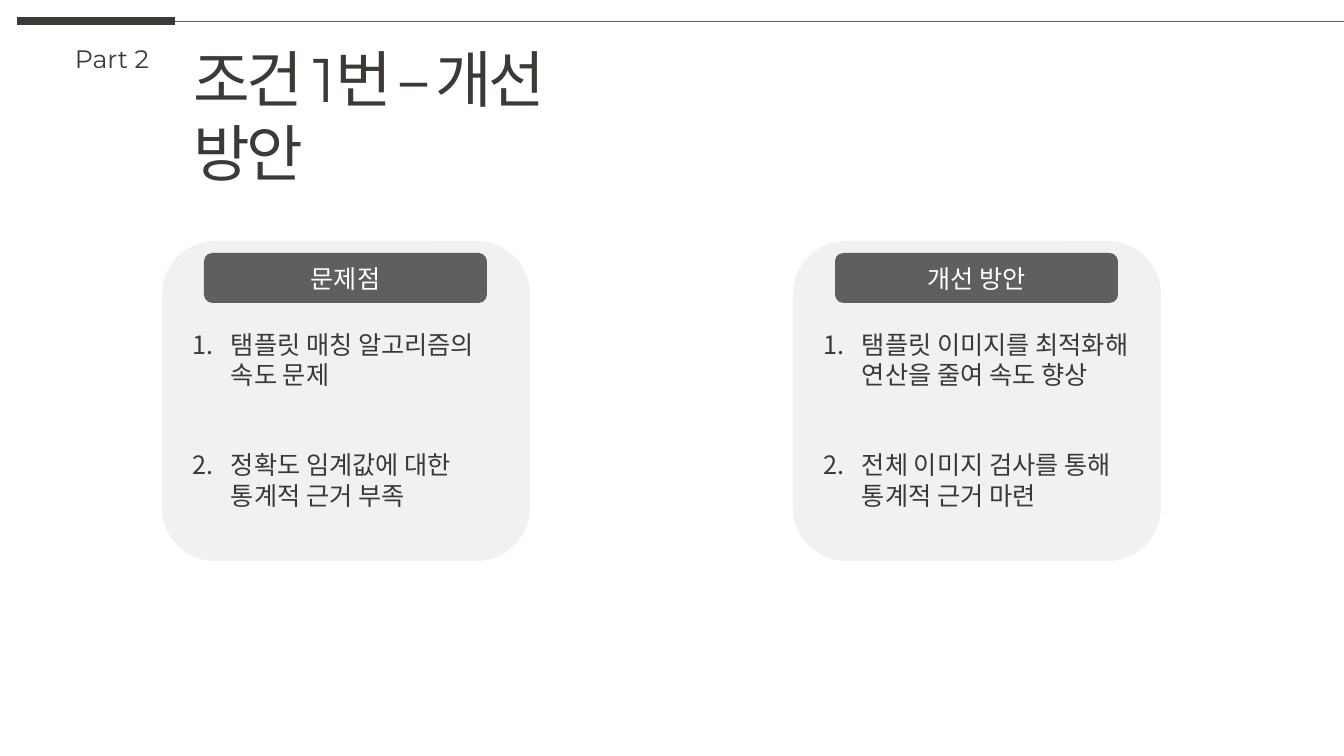
from lxml.etree import SubElement
from pptx import Presentation
from pptx.dml.color import RGBColor
from pptx.enum.shapes import MSO_CONNECTOR, MSO_SHAPE
from pptx.enum.text import MSO_ANCHOR, MSO_AUTO_SIZE, PP_ALIGN
from pptx.oxml.ns import qn
from pptx.util import Pt

PX = 914400 / 100.8
FONT = "Montserrat"
COLORS = {
    "ink": "3D3A35",
    "body": "3A3838",
    "bar": "5F5F5D",
    "panel": "F2F1EF",
    "white": "FFFFFF",
}
PANELS = [
    (162, "문제점", ["탬플릿 매칭 알고리즘의\n속도 문제", "정확도 임계값에 대한\n통계적 근거 부족"]),
    (793, "개선 방안", ["탬플릿 이미지를 최적화해\n연산을 줄여 속도 향상", "전체 이미지 검사를 통해\n통계적 근거 마련"]),
]


def px(*lengths):
    """Turn pixel lengths into EMU."""
    return [round(length * PX) for length in lengths]


def color(name):
    """Look up a colour by name."""
    return RGBColor.from_string(COLORS[name])


def style_runs(para, size, ink):
    """Format every run of a paragraph."""
    for span in para.runs:
        span.font.name = FONT
        span.font.size = Pt(size)
        span.font.color.rgb = color(ink)


def add_rule(page, left, right, y, width, ink):
    """Draw a horizontal line without a shadow."""
    rule = page.shapes.add_connector(MSO_CONNECTOR.STRAIGHT, *px(left, y, right, y))
    rule.line.color.rgb = color(ink)
    rule.line.width = Pt(width)
    SubElement(rule._element.spPr, qn("a:effectLst"))


def add_text(page, bounds):
    """Add a wrapping text box that grows with its text."""
    frame = page.shapes.add_textbox(*px(*bounds)).text_frame
    frame.word_wrap = True
    frame.auto_size = MSO_AUTO_SIZE.SHAPE_TO_FIT_TEXT
    return frame


def add_rounded(page, bounds, fill):
    """Add a flat rounded rectangle."""
    box = page.shapes.add_shape(MSO_SHAPE.ROUNDED_RECTANGLE, *px(*bounds))
    box.shadow.inherit = False
    box.fill.solid()
    box.fill.fore_color.rgb = color(fill)
    box.line.fill.background()
    return box


def number_paragraph(para):
    """Give a paragraph a hanging automatic number."""
    indent, = px(38)
    properties = para._p.get_or_add_pPr()
    properties.set("marL", str(indent))
    properties.set("indent", str(-indent))
    SubElement(properties, qn("a:buAutoNum"), type="arabicPeriod")


def add_header(page, left, top, width):
    """Draw the top rules, the part label and the title."""
    split = left + 158
    add_rule(page, left, split, top, 6, "ink")
    add_rule(page, split, left + width, top, 0.5, "bar")
    part = add_text(page, (left + 48, top + 17, 98, 40))
    part.text = "Part 2"
    style_runs(part.paragraphs[0], 18, "ink")
    title = add_text(page, (left + 167, top + 15, 465, 85))
    title.text = "조건 1번 – 개선 방안"
    style_runs(title.paragraphs[0], 44, "ink")
    for span in title.paragraphs[0].runs:
        span.font._element.set("spc", "-300")


def add_panel(page, left, top, width, height, heading, items):
    """Draw a panel with a heading bar and a numbered list."""
    add_rounded(page, (left, top, width, height), "panel")
    bar = add_rounded(page, (left + 42, top + 12, width - 85, 50), "bar")
    bar.text_frame.text = heading
    bar.text_frame.vertical_anchor = MSO_ANCHOR.MIDDLE
    bar.text_frame.paragraphs[0].alignment = PP_ALIGN.CENTER
    style_runs(bar.text_frame.paragraphs[0], 18, "white")
    frame = add_text(page, (left + 21, top + 83, width - 43, 194))
    for index, item in enumerate(items):
        para = frame.add_paragraph() if index else frame.paragraphs[0]
        para.text = item
        if index:
            para.space_before = Pt(43)
        number_paragraph(para)
        style_runs(para, 18, "body")


def main():
    """Build the slide and save it."""
    deck = Presentation()
    deck.slide_width, deck.slide_height = px(1344, 756)
    page = deck.slides.add_slide(deck.slide_layouts[6])
    add_header(page, 17, 21, 1327)
    for left, heading, items in PANELS:
        add_panel(page, left, 241, 368, 320, heading, items)
    deck.save("out.pptx")


if __name__ == "__main__":
    main()
